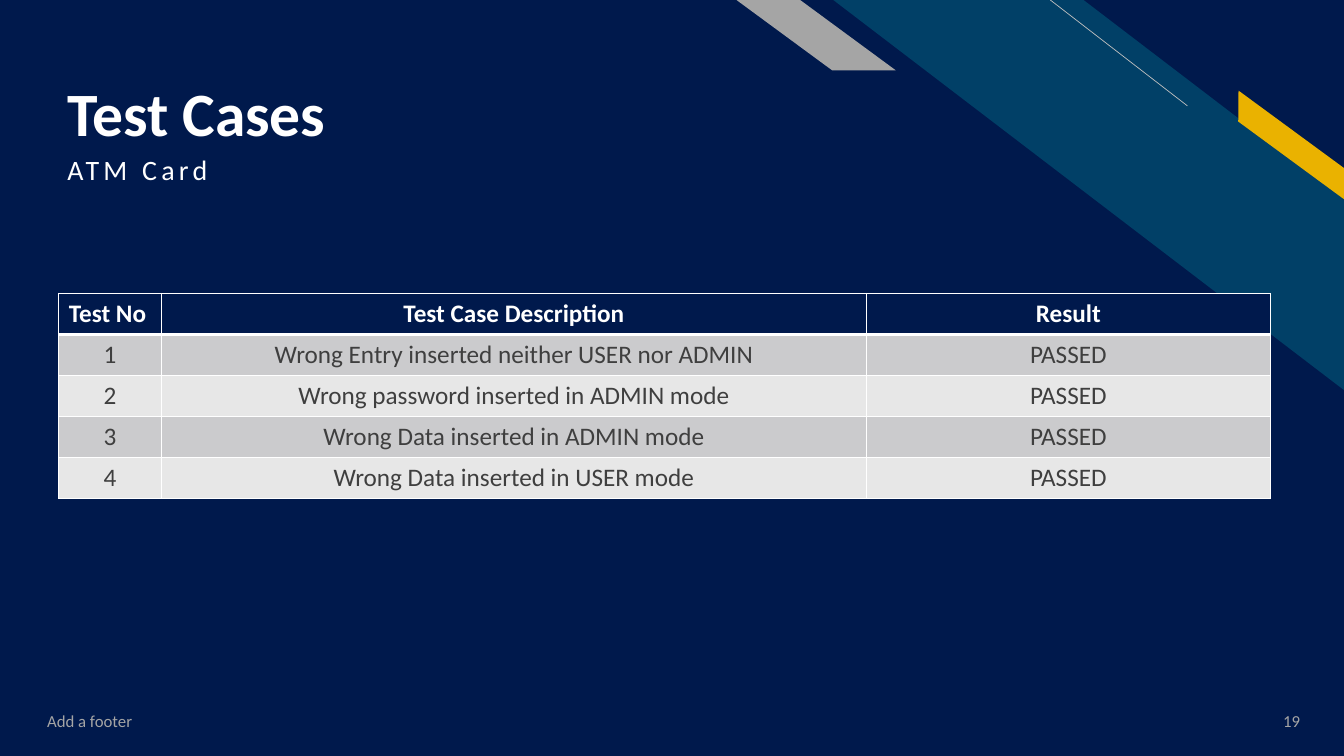
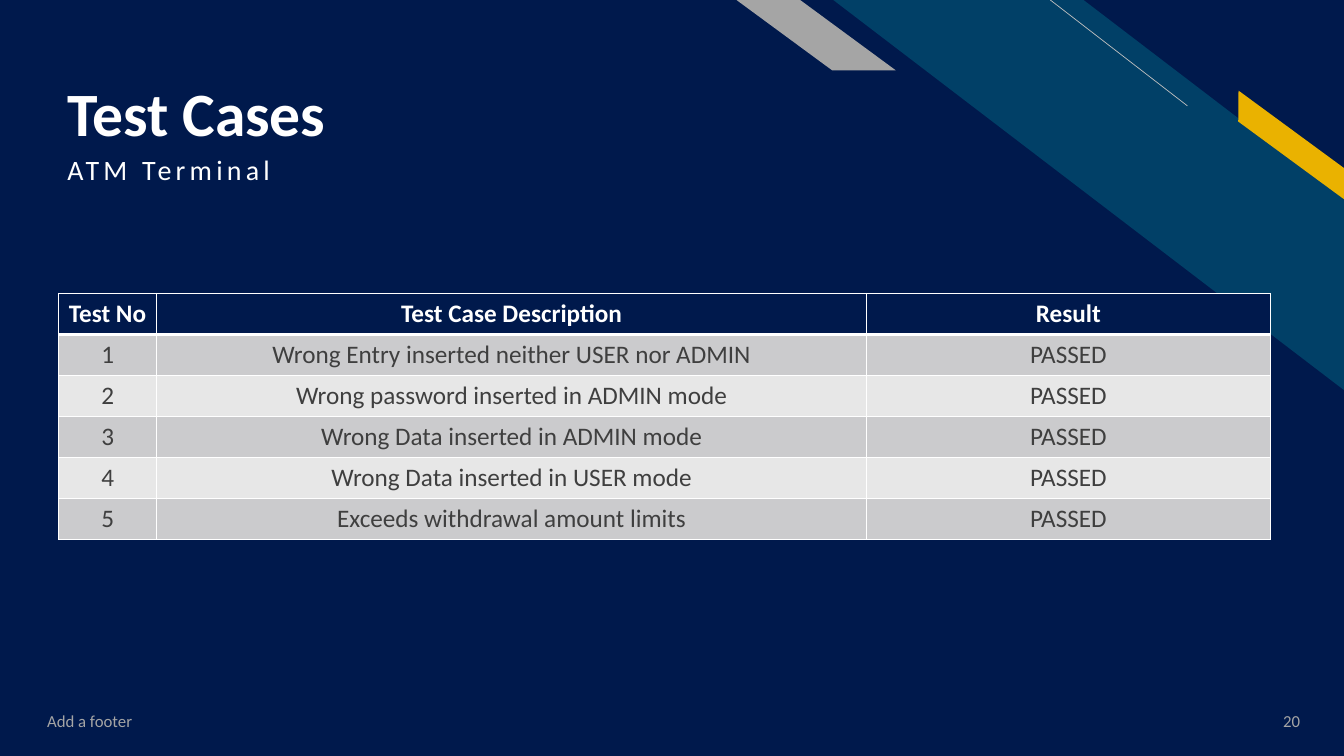
from lxml.etree import SubElement
from pptx import Presentation
from pptx.dml.color import RGBColor
from pptx.enum.shapes import MSO_CONNECTOR, MSO_SHAPE
from pptx.enum.text import MSO_ANCHOR, MSO_AUTO_SIZE, PP_ALIGN
from pptx.oxml.ns import qn
from pptx.util import Inches, Pt

COLORS = {name: RGBColor.from_string(value) for name, value in {
    "navy": "00194C", "teal": "014067", "gold": "EAB200", "gray": "A5A5A5",
    "hairline": "BFBFBF", "white": "FFFFFF", "ink": "3F3F3F",
    "odd row": "CBCBCD", "even row": "E7E7E7",
}.items()}

CASES = [
    "Wrong Entry inserted neither USER nor ADMIN",
    "Wrong password inserted in ADMIN mode",
    "Wrong Data inserted in ADMIN mode",
    "Wrong Data inserted in USER mode",
]
# Subtitle, test cases, width of the number column
TEST_SLIDES = [
    ("ATM Card", CASES, 7.65),
    ("ATM Terminal", CASES + ["Exceeds withdrawal amount limits"], 7.3),
]
FIRST_NUMBER = 19
TABLE_WIDTH, RESULT_WIDTH, ROW_HEIGHT = 90.15, 30.05, 5.42

prs = Presentation()
prs.slide_width, prs.slide_height = Inches(13.333), Inches(7.5)


def area(left, top, width, height):
    """Turn percentages of the slide's size into lengths."""
    col, row = prs.slide_width / 100, prs.slide_height / 100
    return int(left * col), int(top * row), int(width * col), int(height * row)


def write(frame, text, size, color, align=PP_ALIGN.LEFT, bold=False):
    """Put one formatted paragraph into a text frame."""
    frame.text = text
    paragraph = frame.paragraphs[0]
    paragraph.alignment = align
    font = paragraph.font
    font.name, font.size, font.bold = "Calibri", Pt(size), bold
    font.color.rgb = COLORS[color]
    return paragraph


# Shared backdrop and corner stripes, kept on the layout
layout = prs.slide_layouts[5]
slides = [prs.slides.add_slide(layout) for _ in TEST_SLIDES]
drafting = slides[0].shapes

backdrop = [
    (MSO_SHAPE.RECTANGLE, (0, 0, 100, 100), None, 0, "navy"),
    (MSO_SHAPE.DIAGONAL_STRIPE, (62, 0, 38, 51.6), 0.51, 0, "teal"),
    (MSO_SHAPE.PARALLELOGRAM, (90.53, 17.5, 11.1, 3.33), 0.72, 36.3, "gold"),
    (MSO_SHAPE.PARALLELOGRAM, (54.8, 0, 11.85, 9.3), 1.36, 0, "gray"),
]
for preset, place, slant, angle, color in backdrop:
    band = drafting.add_shape(preset, *area(*place))
    if slant:
        band.adjustments[0] = slant
        band.element.spPr.get_or_add_xfrm().set("flipH", "1")
    band.rotation = angle
    band.fill.solid()
    band.fill.fore_color.rgb = COLORS[color]
    band.line.fill.background()
    band.shadow.inherit = False
    layout.shapes.element.append(band.element)

hairline = drafting.add_connector(MSO_CONNECTOR.STRAIGHT, *area(78.15, 0, 88.35, 14))
hairline.line.color.rgb = COLORS["hairline"]
hairline.line.width = Pt(0.5)
SubElement(hairline.element.spPr, qn("a:effectLst"))
layout.shapes.element.append(hairline.element)

for number, (slide, content) in enumerate(zip(slides, TEST_SLIDES), FIRST_NUMBER):
    topic, cases, number_width = content

    # Title
    title = slide.shapes.title
    title.left, title.top, title.width, title.height = area(4.25, 3.05, 68.35, 16.8)
    heading = title.text_frame
    heading.auto_size = MSO_AUTO_SIZE.NONE
    heading.vertical_anchor = MSO_ANCHOR.BOTTOM
    heading.margin_bottom = 0
    write(heading, "Test Cases", 44, "white", bold=True).line_spacing = 0.9

    # Subtitle, footer and slide number
    captions = [
        (topic, (4.28, 20.07, 60.45, 8.95), 20, "white", PP_ALIGN.LEFT, MSO_ANCHOR.TOP),
        ("Add a footer", (2.77, 92.65, 33.75, 5.35), 12, "gray", PP_ALIGN.LEFT, MSO_ANCHOR.MIDDLE),
        (str(number), (91.42, 92.65, 6.05, 5.35), 12, "gray", PP_ALIGN.RIGHT, MSO_ANCHOR.MIDDLE),
    ]
    for text, place, size, color, align, anchor in captions:
        caption = slide.shapes.add_textbox(*area(*place)).text_frame
        caption.word_wrap = True
        caption.vertical_anchor = anchor
        paragraph = write(caption, text, size, color, align)
        if text == topic:
            paragraph.line_spacing = 0.9
            paragraph.runs[0].font._element.set("spc", "300")

    # Test table
    rows = [("Test No", "Test Case Description", "Result")]
    rows += [(str(n), case, "PASSED") for n, case in enumerate(cases, 1)]
    place = area(4.37, 38.82, TABLE_WIDTH, ROW_HEIGHT * len(rows))
    table = slide.shapes.add_table(len(rows), 3, *place).table
    table.horz_banding = False
    widths = (number_width, TABLE_WIDTH - number_width - RESULT_WIDTH, RESULT_WIDTH)
    for column, width in zip(table.columns, widths):
        column.width = area(0, 0, width, 0)[2]

    for r, row in enumerate(rows):
        header = r == 0
        fill = "navy" if header else "odd row" if r % 2 else "even row"
        for c, text in enumerate(row):
            cell = table.cell(r, c)
            align = PP_ALIGN.LEFT if header and c == 0 else PP_ALIGN.CENTER
            write(cell.text_frame, text, 18, "white" if header else "ink", align, header)
            # Thin white borders, heavier under the header
            for side in ("L", "R", "T", "B"):
                heavy = (r, side) in ((0, "B"), (1, "T"))
                border = SubElement(cell._tc.get_or_add_tcPr(), qn(f"a:ln{side}"),
                                    w=str(Pt(3 if heavy else 1)))
                paint = SubElement(border, qn("a:solidFill"))
                SubElement(paint, qn("a:srgbClr"), val=str(COLORS["white"]))
            cell.fill.solid()
            cell.fill.fore_color.rgb = COLORS[fill]

prs.save("out.pptx")
